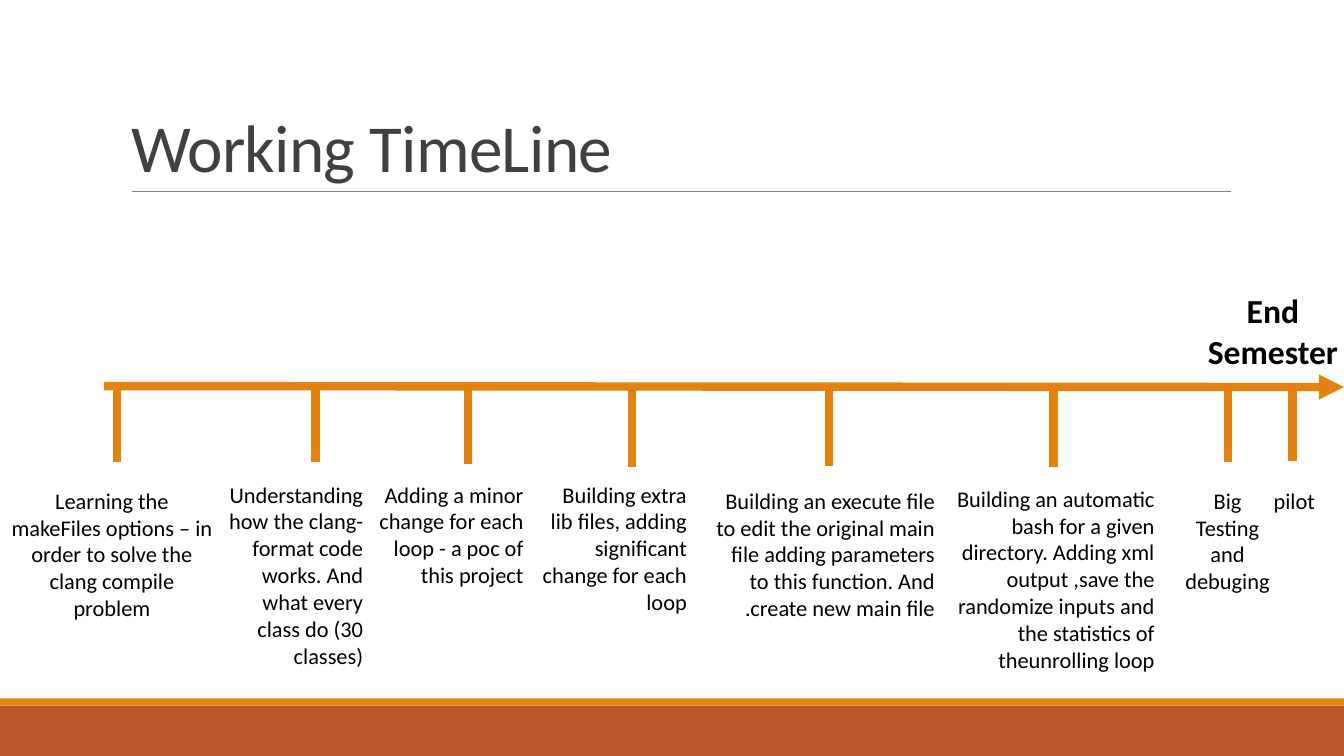
"""Build the Working TimeLine slide."""
from dataclasses import dataclass

from lxml.etree import SubElement
from pptx import Presentation
from pptx.dml.color import RGBColor
from pptx.enum.shapes import MSO_CONNECTOR as Conn, MSO_SHAPE as Shp
from pptx.enum.text import MSO_ANCHOR as Anchor, MSO_AUTO_SIZE as Auto, PP_ALIGN as Align
from pptx.oxml.ns import qn
from pptx.shapes.connector import Connector
from pptx.slide import Slide
from pptx.text.text import _Paragraph as Paragraph
from pptx.util import Inches, Pt


@dataclass(frozen=True)
class Theme:
    """Colours, font and type sizes of the slide."""
    font: str = "Calibri"
    orange: str = "E48312"
    rust: str = "BD582C"
    grey: str = "808080"
    heading: str = "404040"
    ink: str = "000000"
    title_size: float = 48
    label_size: float = 24
    body_size: float = 16
    axis_width: float = 6
    rule_width: float = 0.5


@dataclass(frozen=True)
class Milestone:
    """One tick on the axis and the note below it."""
    text: str
    tick_x: float
    tick_top: float
    left: float
    top: float
    width: float
    lines: int
    align: Align = Align.RIGHT
    rtl: bool = True


@dataclass(frozen=True)
class Band:
    """A full-width footer band."""
    top: float
    height: float
    colour: str


THEME = Theme()
WIDTH, HEIGHT = 13.33, 7.5
TICK_LENGTH = 0.77
LINE_HEIGHT, BOX_PADDING = 0.27, 0.1

BANDS = [Band(7, 0.5, THEME.rust), Band(6.93, 0.07, THEME.orange)]

MILESTONES = [
    Milestone("Learning the makeFiles options – in order to solve the clang compile problem",
              1.16, 3.81, 0, 4.78, 2.22, 5, Align.CENTER, False),
    Milestone("Understanding how the clang-format code works. And what every class do (30 classes)",
              3.13, 3.81, 2.06, 4.72, 1.64, 7),
    Milestone("Adding a minor change for each loop - a poc of this project",
              4.64, 3.83, 3.65, 4.72, 1.64, 4),
    Milestone("Building extra lib files, adding significant change for each loop",
              6.27, 3.86, 5.27, 4.72, 1.64, 5),
    Milestone("Building an execute file to edit the original main file adding parameters "
              "to this function. And create new main file.",
              8.22, 3.85, 6.97, 4.78, 2.4, 5),
    Milestone("Building an automatic bash for a given directory. Adding xml output ,save the "
              "randomize inputs and the statistics of theunrolling loop",
              10.45, 3.86, 9.15, 4.76, 2.4, 7),
    Milestone("Big Testing and debuging", 12.18, 3.81, 11.64, 4.78, 1.07, 4, Align.CENTER),
    Milestone("pilot", 12.82, 3.8, 10.74, 4.78, 2.4, 1),
]


def add_run(p: Paragraph, text: str, size: float, colour: str, bold: bool = False):
    """Add one formatted run to a paragraph and return it."""
    r = p.add_run()
    r.text = text
    r.font.name = THEME.font
    r.font.size = Pt(size)
    r.font.bold = bold
    r.font.color.rgb = RGBColor.from_string(colour)
    return r


def add_line(slide: Slide, x1: float, y1: float, x2: float, y2: float,
             colour: str, width: float) -> Connector:
    """Draw a straight line without a shadow."""
    sp = slide.shapes.add_connector(Conn.STRAIGHT, Inches(x1), Inches(y1), Inches(x2), Inches(y2))
    sp.line.color.rgb = RGBColor.from_string(colour)
    sp.line.width = Pt(width)
    SubElement(sp.element.spPr, qn("a:effectLst"))
    return sp


def add_text(slide: Slide, left: float, top: float, width: float, height: float,
             paragraphs: list[str], size: float, align: Align,
             rtl: bool = False, bold: bool = False) -> None:
    """Add a wrapped text box with one run in each paragraph."""
    sp = slide.shapes.add_textbox(Inches(left), Inches(top), Inches(width), Inches(height))
    tf = sp.text_frame
    tf.word_wrap = True
    tf.auto_size = Auto.SHAPE_TO_FIT_TEXT
    for i, text in enumerate(paragraphs):
        p = tf.add_paragraph() if i else tf.paragraphs[0]
        p.alignment = align
        if rtl:
            p._p.get_or_add_pPr().set("rtl", "1")
        add_run(p, text, size, THEME.ink, bold)


def add_band(slide: Slide, band: Band) -> None:
    """Draw a footer band."""
    sp = slide.shapes.add_shape(Shp.RECTANGLE, 0, Inches(band.top),
                                Inches(WIDTH), Inches(band.height))
    sp.shadow.inherit = False
    sp.fill.solid()
    sp.fill.fore_color.rgb = RGBColor.from_string(band.colour)
    sp.line.fill.background()


def add_title(slide: Slide, text: str) -> None:
    """Place and fill the title placeholder."""
    sp = slide.shapes.title
    sp.left, sp.top, sp.width, sp.height = (Inches(v) for v in (1.2, 0.31, 11, 1.59))
    tf = sp.text_frame
    tf.word_wrap = True
    tf.auto_size = Auto.NONE
    tf.vertical_anchor = Anchor.BOTTOM
    p = tf.paragraphs[0]
    p.alignment = Align.LEFT
    p.line_spacing = 0.85
    r = add_run(p, text, THEME.title_size, THEME.heading)
    r.font._element.set("spc", "-50")


def add_milestone(slide: Slide, m: Milestone) -> None:
    """Draw a milestone's tick and note."""
    add_line(slide, m.tick_x, m.tick_top, m.tick_x, m.tick_top + TICK_LENGTH,
             THEME.orange, THEME.axis_width)
    add_text(slide, m.left, m.top, m.width, BOX_PADDING + m.lines * LINE_HEIGHT,
             [m.text], THEME.body_size, m.align, m.rtl)


def main() -> None:
    """Build and save the presentation."""
    prs = Presentation()
    prs.slide_width, prs.slide_height = Inches(WIDTH), Inches(HEIGHT)
    slide = prs.slides.add_slide(prs.slide_layouts[5])
    for band in BANDS:
        add_band(slide, band)
    add_line(slide, 1.31, 1.9, 12.21, 1.9, THEME.grey, THEME.rule_width)
    add_title(slide, "Working TimeLine")
    axis = add_line(slide, 1.03, 3.83, WIDTH, 3.84, THEME.orange, THEME.axis_width)
    SubElement(axis.line._get_or_add_ln(), qn("a:tailEnd"), type="triangle")
    for milestone in MILESTONES:
        add_milestone(slide, milestone)
    add_text(slide, 11.24, 2.83, 2.77, 0.91, ["End", "Semester"],
             THEME.label_size, Align.CENTER, bold=True)
    prs.save("out.pptx")


if __name__ == "__main__":
    main()
